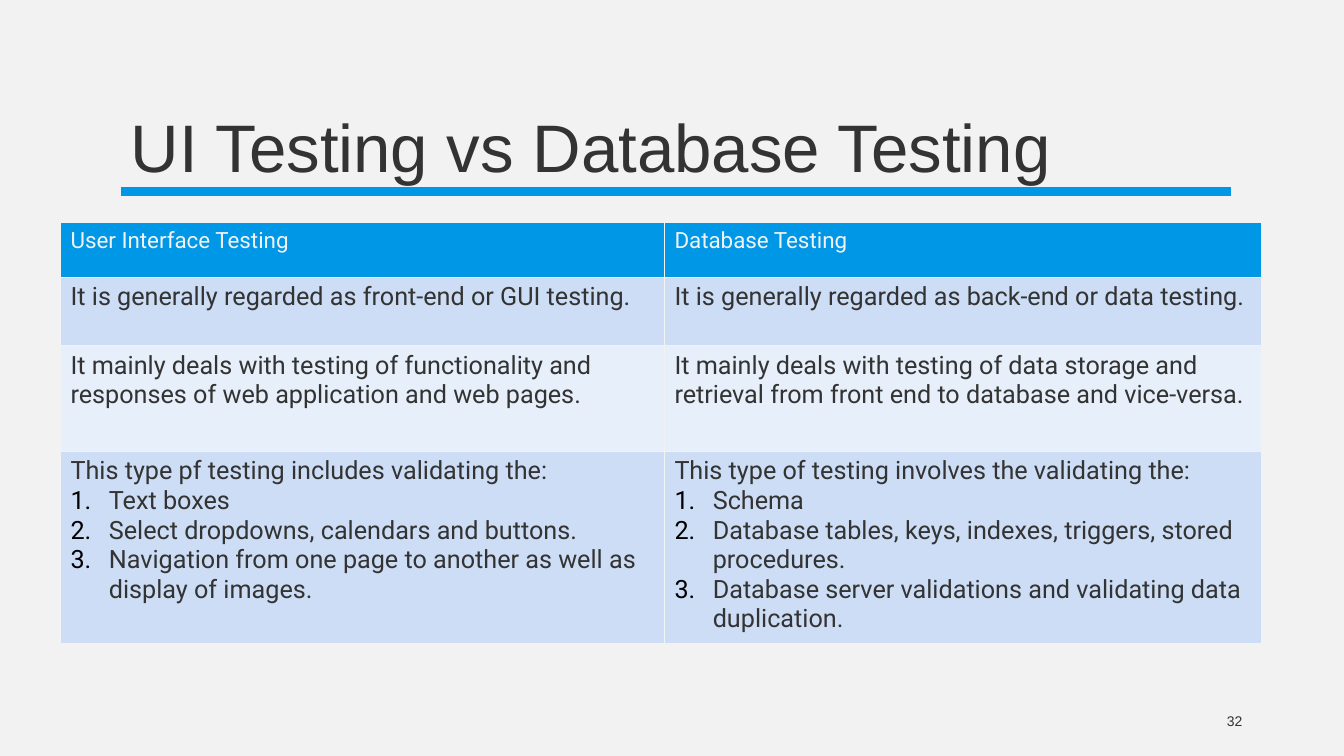
from lxml import etree
from pptx import Presentation
from pptx.dml.color import RGBColor as RGB
from pptx.enum.shapes import MSO_CONNECTOR as LINE
from pptx.enum.text import MSO_ANCHOR as ANCHOR, PP_ALIGN as ALIGN
from pptx.oxml.ns import qn
from pptx.util import Inches, Pt

COLORS = {"back": "F2F2F2", "blue": "0097E6", "ink": "333333",
          "dark": "CCDDF5", "light": "E7EFFA", "mark": "000000"}
TITLE = "UI Testing vs Database Testing"
PAGE = "32"
ROWS = [
    (["User Interface Testing"], ["Database Testing"]),
    (["It is generally regarded as front-end or GUI testing."],
     ["It is generally regarded as back-end or data testing."]),
    (["It mainly deals with testing of functionality and responses of web application and web pages."],
     ["It mainly deals with testing of data storage and retrieval from front end to database and vice-versa."]),
    (["This type pf testing includes validating the:",
      "Text boxes",
      "Select dropdowns, calendars and buttons.",
      "Navigation from one page to another as well as display of images."],
     ["This type of testing involves the validating the:",
      "Schema",
      "Database tables, keys, indexes, triggers, stored procedures.",
      "Database server validations and validating data duplication."]),
]
WIDTHS = [5.99, 5.92]
HEIGHTS = [0.54, 0.68, 1.05, 1.91]
INDENT = 0.38


def color(name):
    """Return a named colour."""
    return RGB.from_string(COLORS[name])


def style(para, face, size, tone):
    """Format the runs of a paragraph."""
    for run in para.runs:
        run.font.name, run.font.size = face, Pt(size)
        run.font.color.rgb = color(tone)


def add_text(slide, box, text, size, anchor, align):
    """Add one line of text in a box."""
    frame = slide.shapes.add_textbox(*map(Inches, box)).text_frame
    frame.word_wrap = True
    frame.vertical_anchor = anchor
    frame.text = text
    para = frame.paragraphs[0]
    para.alignment = align
    style(para, "Arial", size, "ink")
    return para


def add_rule(slide):
    """Draw the line under the title."""
    rule = slide.shapes.add_connector(
        LINE.STRAIGHT, Inches(1.2), Inches(1.9), Inches(12.21), Inches(1.9))
    rule.line.color.rgb = color("blue")
    rule.line.width = Pt(6)
    etree.SubElement(rule._element.spPr, qn("a:effectLst"))


def add_color(node, name):
    """Append a colour to an XML node."""
    etree.SubElement(node, qn("a:srgbClr"), val=COLORS[name])


def number(para):
    """Make a paragraph a numbered item."""
    props = para._p.get_or_add_pPr()
    props.set("marL", str(Inches(INDENT)))
    props.set("indent", str(-Inches(INDENT)))
    add_color(etree.SubElement(props, qn("a:buClr")), "mark")
    etree.SubElement(props, qn("a:buAutoNum"), type="arabicPeriod")


def fill_cell(cell, lines, fill, size, tone):
    """Write, border and fill one cell."""
    cell.text_frame.text = "\n".join(lines)
    for i, para in enumerate(cell.text_frame.paragraphs):
        if i:
            number(para)
        style(para, "Roboto", size, tone)
    props = cell._tc.get_or_add_tcPr()
    for side in "LRTB":
        edge = etree.SubElement(props, qn("a:ln" + side), w=str(Pt(1)))
        add_color(etree.SubElement(edge, qn("a:solidFill")), "back")
    cell.fill.solid()
    cell.fill.fore_color.rgb = color(fill)


def add_grid(slide):
    """Add the comparison table."""
    size = sum(WIDTHS), sum(HEIGHTS)
    grid = slide.shapes.add_table(
        len(ROWS), len(WIDTHS), *map(Inches, (0.6, 2.21, *size))).table
    for col, width in zip(grid.columns, WIDTHS):
        col.width = Inches(width)
    for r, (row, height) in enumerate(zip(ROWS, HEIGHTS)):
        grid.rows[r].height = Inches(height)
        look = (("dark" if r % 2 else "light", 18, "ink") if r
                else ("blue", 16, "back"))
        for c, lines in enumerate(row):
            fill_cell(grid.cell(r, c), lines, *look)


def main():
    """Build and save the slide."""
    deck = Presentation()
    deck.slide_width, deck.slide_height = Inches(13.33), Inches(7.5)
    slide = deck.slides.add_slide(deck.slide_layouts[6])
    slide.background.fill.solid()
    slide.background.fill.fore_color.rgb = color("back")
    add_rule(slide)
    title = add_text(slide, (1.2, 0.31, 11, 1.59), TITLE, 48, ANCHOR.BOTTOM, ALIGN.LEFT)
    title.line_spacing = 0.85
    add_text(slide, (9.42, 6.95, 3, 0.4), PAGE, 10, ANCHOR.MIDDLE, ALIGN.RIGHT)
    add_grid(slide)
    deck.save("out.pptx")


if __name__ == "__main__":
    main()
